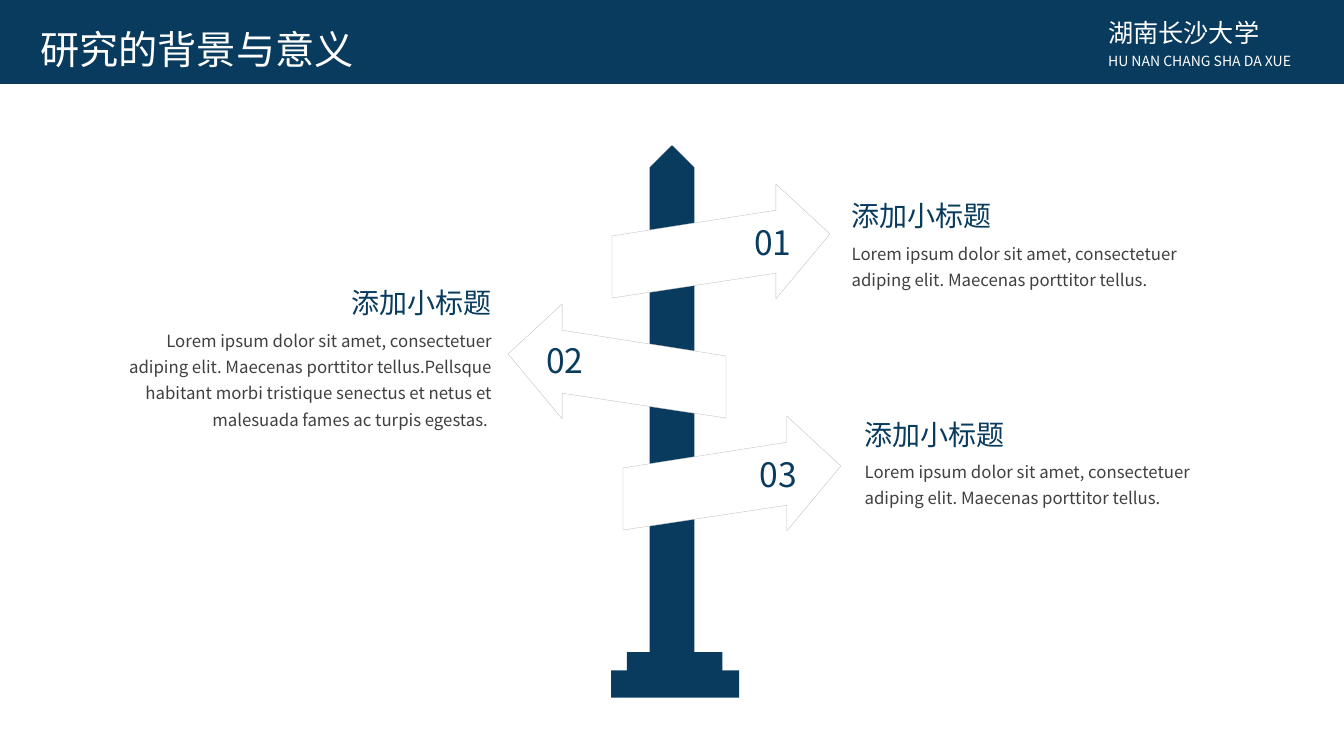
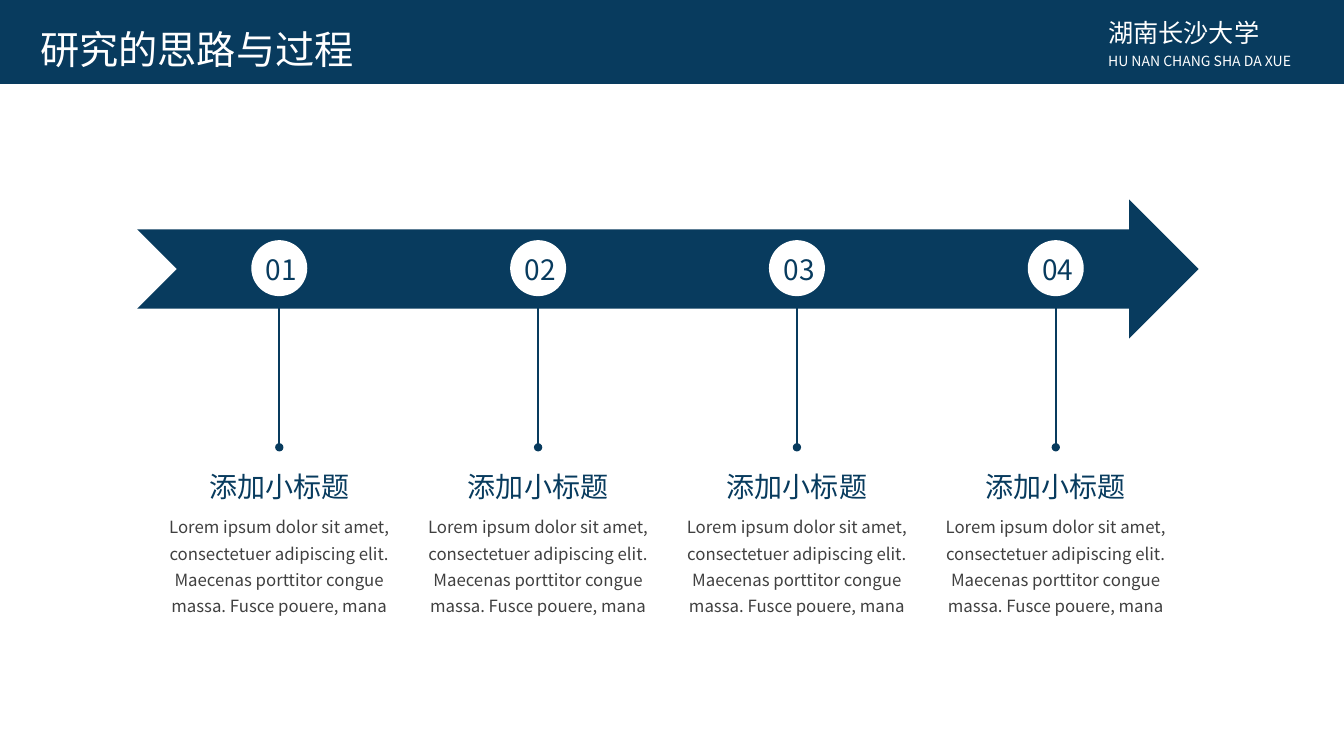
from lxml.etree import SubElement
from pptx import Presentation
from pptx.dml.color import RGBColor
from pptx.enum.shapes import MSO_CONNECTOR as Line, MSO_SHAPE as Shape
from pptx.enum.text import MSO_AUTO_SIZE as Fit, PP_ALIGN as Align
from pptx.oxml.ns import qn
from pptx.util import Inches, Pt

COLORS = {"navy": "083B5E", "white": "FFFFFF", "text": "404040", "hairline": "BFBFBF"}
HEAD_FONT, BODY_FONT = "Noto Sans CJK JP", "Noto Sans CJK SC"
COLS, ROWS = 128, 72
HEADING = "添加小标题"
LOREM = "Lorem ipsum dolor sit amet, consectetuer "
SHORT = LOREM + "adiping elit. Maecenas porttitor tellus."
LONG = SHORT + "Pellsque habitant morbi tristique senectus et netus et malesuada fames ac turpis egestas. "
STEP = LOREM + "adipiscing elit. Maecenas porttitor congue massa. Fusce pouere, mana"
SIGN = [(0, 4.95), (15.6, 2.5), (15.6, 0), (20.75, 4.76),
        (15.6, 10.95), (15.6, 8.5), (0, 10.86)]


class Deck:
    """Hold the shared style and the current slide, measured on a 128 by 72 grid."""

    def __init__(self):
        self.prs = Presentation()
        self.prs.slide_width, self.prs.slide_height = Inches(13.33), Inches(7.5)
        self.s = None

    def x(self, col):
        return round(self.prs.slide_width * col / COLS)

    def y(self, row):
        return round(self.prs.slide_height * row / ROWS)

    def box(self, left, top, width, height):
        return self.x(left), self.y(top), self.x(width), self.y(height)

    def color(self, name):
        return RGBColor.from_string(COLORS[name])

    def paint(self, sp, fill, line=None, weight=1):
        sp.shadow.inherit = False
        sp.fill.solid()
        sp.fill.fore_color.rgb = self.color(fill)
        if line:
            sp.line.color.rgb = self.color(line)
            sp.line.width = Pt(weight)
        else:
            sp.line.fill.background()
        return sp

    def shape(self, kind, at, fill="navy", line=None):
        return self.paint(self.s.shapes.add_shape(kind, *self.box(*at)), fill, line)

    def text(self, at, text, size, color="navy", font=HEAD_FONT, align=Align.LEFT, spacing=1.3):
        tf = self.s.shapes.add_textbox(*self.box(*at)).text_frame
        tf.word_wrap = True
        tf.auto_size = Fit.SHAPE_TO_FIT_TEXT
        tf.text = text
        p = tf.paragraphs[0]
        p.alignment, p.line_spacing = align, spacing
        r = p.runs[0]
        r.font.size, r.font.name = Pt(size), font
        r.font.color.rgb = self.color(color)
        SubElement(r.font._element, qn("a:ea"), typeface=font)

    def slide(self, title):
        self.s = self.prs.slides.add_slide(self.prs.slide_layouts[6])
        self.shape(Shape.RECTANGLE, (0, 0, COLS, 8))
        for at, text, size, font in [
            ((2.9, 1.9, 35.3, 5.5), title, 28, HEAD_FONT),
            ((104.6, 1.15, 21.7, 3.8), "湖南长沙大学", 18, HEAD_FONT),
            ((104.6, 4.5, 20.9, 2.7), "HU NAN CHANG SHA DA XUE", 10, BODY_FONT),
        ]:
            self.text(at, text, size, "white", font, spacing=1)

    def entry(self, anchor, top, body, width, align=Align.LEFT, gap=4.65):
        share = {Align.LEFT: 0, Align.CENTER: 0.5, Align.RIGHT: 1}[align]
        head = 19.6
        self.text((anchor - head * share, top, head, 5.2), HEADING, 20, align=align)
        self.text((anchor - width * share, top + gap, width, 5.8), body, 12,
                  "text", BODY_FONT, align)

    def number(self, center, top, number, size, width):
        self.text((center - width / 2, top, width, 6), f"{number:02d}", size, align=Align.CENTER)

    def sign(self, tail, top, direction):
        points = [(self.x(tail + direction * dx), self.y(top + dy)) for dx, dy in SIGN]
        outline = self.s.shapes.build_freeform(*points[0])
        outline.add_line_segments(points[1:], close=True)
        self.paint(outline.convert_to_shape(), "white", "hairline", 0.25)

    def pin(self, col, top, bottom):
        c = self.s.shapes.add_connector(Line.STRAIGHT, self.x(col), self.y(top),
                                        self.x(col), self.y(bottom))
        c.line.color.rgb = self.color("navy")
        c.line.width = Pt(1.5)
        SubElement(c.line._get_or_add_ln(), qn("a:tailEnd"), type="oval")
        SubElement(c._element.spPr, qn("a:effectLst"))


def signpost(deck):
    deck.slide("研究的背景与意义")
    length, width, middle = 50.8, 4.13, 39.3
    post = deck.shape(Shape.PENTAGON, (COLS / 2 - length / 2, middle - width / 2, length, width),
                      line="navy")
    post.rotation = 270
    deck.shape(Shape.RECTANGLE, (58.2, 63.84, 12.2, 2.6))
    deck.shape(Shape.RECTANGLE, (59.7, 62.1, 9.1, 2.6))
    signs = [
        (58.29, 17.52, 1, (73.6, 19.5), (80.16, 17.5, SHORT, 37.9)),
        (69.14, 28.95, -1, (53.8, 30.8), (47.8, 25.8, LONG, 38.3, Align.RIGHT)),
        (59.33, 39.62, 1, (74.15, 41.6), (81.4, 38.3, SHORT, 37.9)),
    ]
    for i, (tail, top, direction, label, entry) in enumerate(signs, 1):
        deck.sign(tail, top, direction)
        deck.number(*label, i, 24, 6.4)
        deck.entry(*entry)


def timeline(deck):
    deck.slide("研究的思路与过程")
    arrow = deck.shape(Shape.NOTCHED_RIGHT_ARROW, (13.06, 19, 101.1, 13.25))
    arrow.adjustments[0], arrow.adjustments[1] = 0.57, 0.5
    first, pitch, size = 26.6, 24.65, 5.2
    for i in range(4):
        center = first + i * pitch
        deck.shape(Shape.OVAL, (center - size / 2, 22.94, size, size), "white", "white")
        deck.pin(center, 28.7, 42.6)
        deck.number(center + 0.2, 22.65, i + 1, 20, 11.8)
        deck.entry(center, 43.3, STEP, 23.8, Align.CENTER, gap=4.9)


def main():
    deck = Deck()
    signpost(deck)
    timeline(deck)
    deck.prs.save("out.pptx")


if __name__ == "__main__":
    main()
